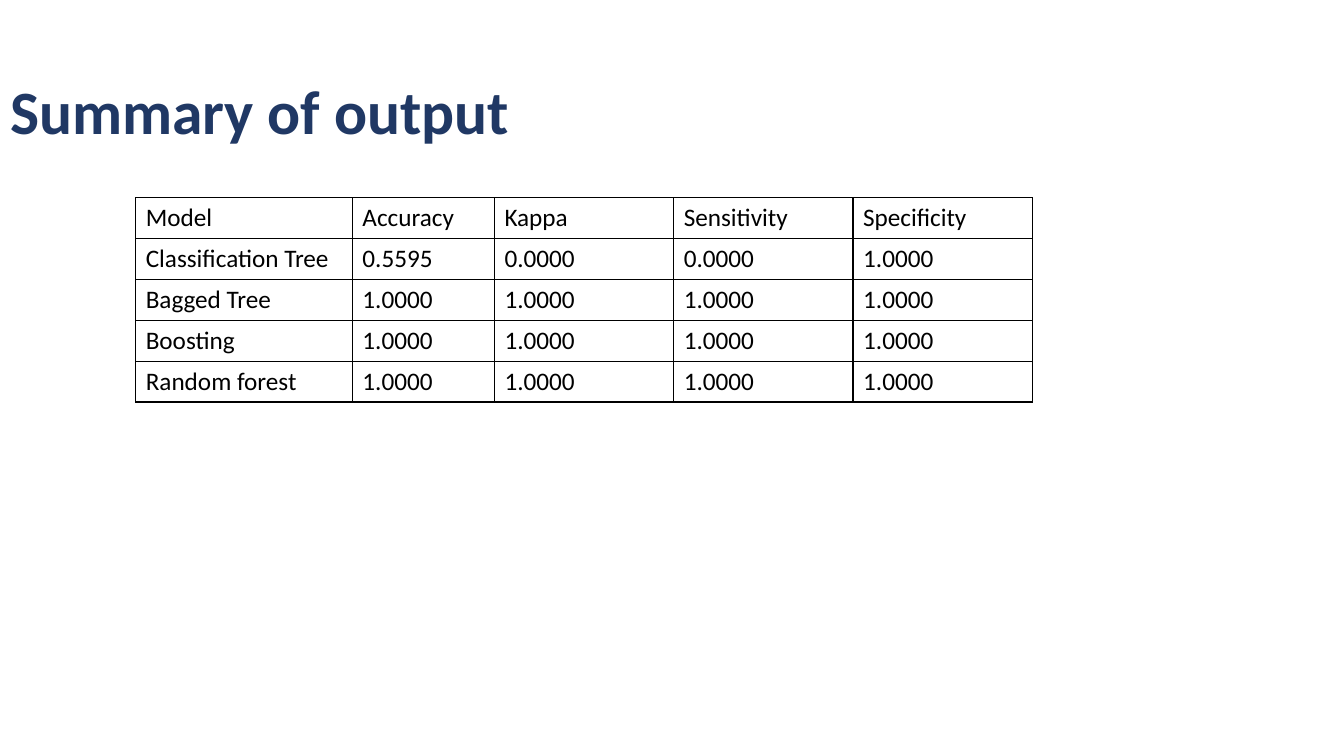
"""Build the slide that summarises the output of four classification models."""
import pptx
import pptx.dml.color
import pptx.enum.text
import pptx.oxml
import pptx.oxml.ns
import pptx.util
from pptx.util import Cm

FONT = "Calibri"
NAVY = "203864"
BLACK = "000000"
COLUMN_WIDTHS = [5.46, 3.58, 4.52, 4.52, 4.52]
ROW_HEIGHT = 1.03
RESULTS = [
    ["Model", "Accuracy", "Kappa", "Sensitivity", "Specificity"],
    ["Classification Tree", "0.5595", "0.0000", "0.0000", "1.0000"],
    ["Bagged Tree", "1.0000", "1.0000", "1.0000", "1.0000"],
    ["Boosting", "1.0000", "1.0000", "1.0000", "1.0000"],
    ["Random forest", "1.0000", "1.0000", "1.0000", "1.0000"],
]


def colour(value):
    return pptx.dml.color.RGBColor.from_string(value)


def write(frame, text, size=18, color=BLACK, bold=False, spacing=1.0,
          anchor=pptx.enum.text.MSO_ANCHOR.TOP):
    frame.vertical_anchor = anchor
    paragraph = frame.paragraphs[0]
    paragraph.alignment = pptx.enum.text.PP_ALIGN.LEFT
    paragraph.line_spacing = spacing
    run = paragraph.add_run()
    run.text = text
    run.font.name = FONT
    run.font.size = pptx.util.Pt(size)
    run.font.bold = bold
    run.font.color.rgb = colour(color)


def outline(cell, color=BLACK, width=1):
    properties = cell._tc.get_or_add_tcPr()
    for side in ("lnL", "lnR", "lnT", "lnB"):
        properties.append(pptx.oxml.parse_xml(
            f'<a:{side} {pptx.oxml.ns.nsdecls("a")} w="{pptx.util.Pt(width)}">'
            f'<a:solidFill><a:srgbClr val="{color}"/></a:solidFill></a:{side}>'))


def add_title(slide, text):
    title = slide.shapes.title
    title.left, title.top = Cm(0), Cm(1.85)
    title.width, title.height = Cm(33.87), Cm(2.08)
    write(title.text_frame, text, size=44, color=NAVY, bold=True, spacing=0.9,
          anchor=pptx.enum.text.MSO_ANCHOR.MIDDLE)


def add_results(slide, rows, left, top):
    results = slide.shapes.add_table(
        len(rows), len(COLUMN_WIDTHS), Cm(left), Cm(top),
        Cm(sum(COLUMN_WIDTHS)), Cm(ROW_HEIGHT * len(rows))).table
    results.first_row = False
    results.horz_banding = False
    for column, width in zip(results.columns, COLUMN_WIDTHS):
        column.width = Cm(width)
    for row, values in zip(results.rows, rows):
        row.height = Cm(ROW_HEIGHT)
        for cell, value in zip(row.cells, values):
            outline(cell)
            cell.fill.background()
            write(cell.text_frame, value)


def main():
    deck = pptx.Presentation()
    deck.slide_width, deck.slide_height = Cm(33.87), Cm(19.05)
    slide = deck.slides.add_slide(deck.slide_layouts[5])
    add_title(slide, "Summary of output")
    add_results(slide, RESULTS, left=3.42, top=4.98)
    deck.save("out.pptx")


if __name__ == "__main__":
    main()
